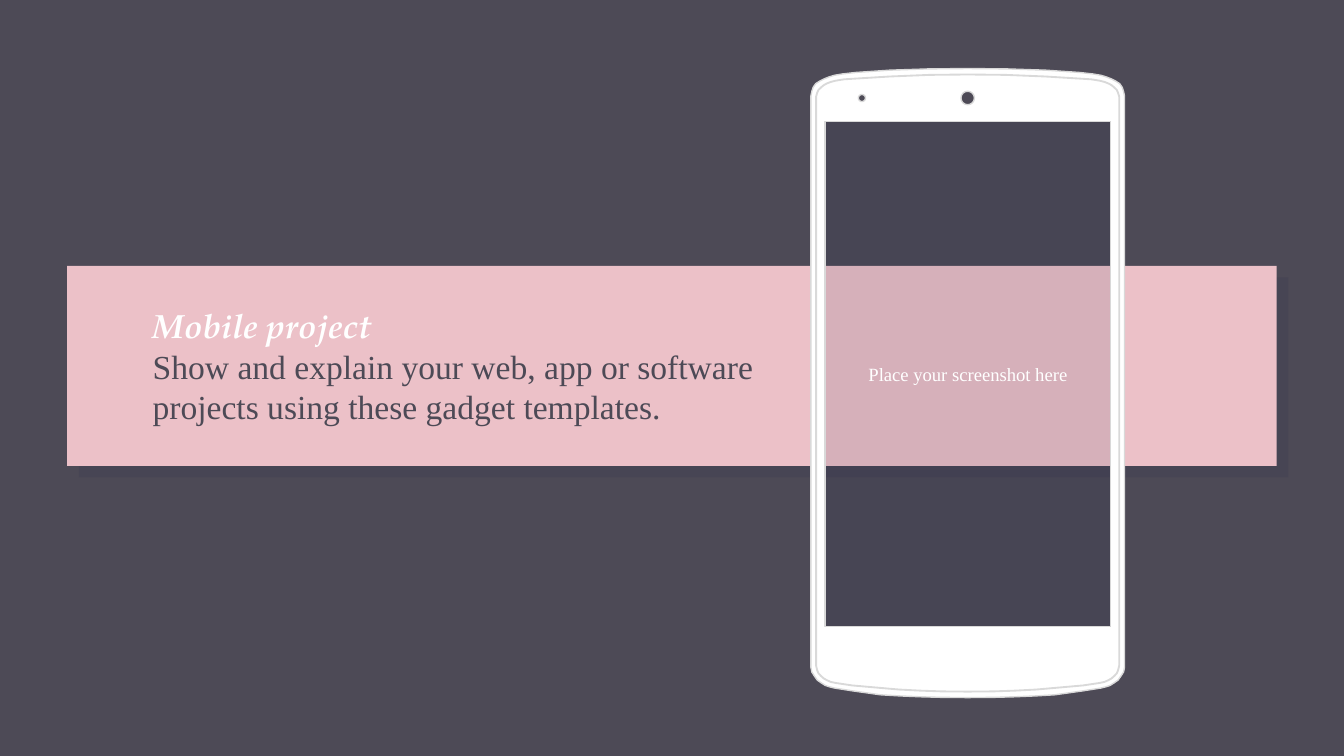
"""Build a slide with a text band and an outlined phone mockup."""
from math import cos, pi, sin
from lxml import etree
from pptx import Presentation
from pptx.dml.color import RGBColor
from pptx.enum.shapes import MSO_SHAPE
from pptx.enum.text import MSO_ANCHOR, PP_ALIGN
from pptx.oxml.ns import qn
from pptx.util import Pt

SLATE = RGBColor(0x4D, 0x4A, 0x56)
PINK = RGBColor(0xEC, 0xC1, 0xC8)
NAVY = RGBColor(0x1B, 0x1B, 0x46)
WHITE = RGBColor(0xFF, 0xFF, 0xFF)
GREY = RGBColor(0xD9, 0xD9, 0xD9)
RECT = MSO_SHAPE.RECTANGLE
MIDDLE = MSO_ANCHOR.MIDDLE
LEFT, CENTER = PP_ALIGN.LEFT, PP_ALIGN.CENTER
SERIF, TITLE = "Times New Roman", "TeX Gyre Pagella"

HEAD = "Mobile project"
BODY = "Show and explain your web, app or software projects using these gadget templates."
HINT = "Place your screenshot here"

BAND = (36, 142.4, 648, 107.2)
SHADE = (42.3, 148.6, 648, 107.2)
COPY = (74.7, 142.4, 357.3, 107.2)
SCREEN = (442, 65, 153, 270.8)
AXIS = 518.4
LENSES = [(461.75, 52.5, 1.9), (AXIS, 52.5, 3.6)]
CASE = [
    (0, 36.7), (20.9, 36.9), (41.8, 37.6), (59.8, 38.8), (67, 39.6), (71.3, 40.3),
    (74.2, 41.2), (77, 42.3), (79.2, 43.4), (81.4, 44.8), (82.8, 46.8), (83.5, 49),
    (84, 51.4), (84, 54.7), (84, 354.2), (84, 357.5), (83.5, 360), (82.1, 362.2),
    (80.6, 364.3), (78.5, 365.8), (76.3, 367.2), (74.2, 367.9), (71.3, 368.6),
    (61.9, 370.1), (46.8, 372.2), (36.7, 372.8), (25.2, 373.3), (13.7, 373.6),
    (0, 373.7)]
BEZEL = [
    (0, 39.9), (20.2, 40.1), (41.8, 41), (59.8, 42.1), (66.2, 42.5), (70.6, 43.2),
    (73.4, 43.9), (75.6, 44.8), (77.2, 45.7), (78.5, 46.8), (79.9, 48.2),
    (80.6, 49.7), (81.2, 51.8), (81.2, 54.7), (81.2, 354.2), (81.2, 356.6),
    (80.6, 359.1), (79.9, 360.7), (78.5, 362.2), (77, 363.5), (75.4, 364.4),
    (73.4, 365.3), (70.6, 365.9), (61.9, 367.2), (46.1, 368.6), (36.7, 369.4),
    (25.2, 370), (13.7, 370.4), (0, 370.5)]


def text(frame, words, font=SERIF, size=18, color=SLATE, bold=False, align=LEFT, first=True):
    frame.word_wrap = True
    frame.vertical_anchor = MIDDLE
    for side in ("left", "right", "top", "bottom"):
        setattr(frame, "margin_" + side, Pt(7.2))
    para = frame.paragraphs[0] if first else frame.add_paragraph()
    para.alignment = align
    run = para.add_run()
    run.text = words
    run.font.name, run.font.size = font, Pt(size)
    run.font.bold = run.font.italic = bold
    run.font.color.rgb = color


def box(place, color, alpha=100):
    shape = shapes.add_shape(RECT, *map(Pt, place))
    shape.shadow.inherit = False
    shape.fill.solid()
    shape.fill.fore_color.rgb = color
    shape.line.fill.background()
    if alpha < 100:
        tone = shape.fill._xPr.find(".//" + qn("a:srgbClr"))
        etree.SubElement(tone, qn("a:alpha"), val=str(alpha * 1000))
    return shape


def mirror(half):
    right = [(AXIS + x, y) for x, y in half]
    left = [(AXIS - x, y) for x, y in half[-2:0:-1]]
    return right + left


def ring(x, y, radius, count=16):
    turns = [2 * pi * i / count for i in range(count)]
    return [(x + radius * cos(t), y + radius * sin(t)) for t in turns]


def outline(loops, width, fill=None):
    grid = [[(round(x * 100), round(y * 100)) for x, y in loop] for loop in loops]
    pen = shapes.build_freeform(*grid[0][0], scale=Pt(1) / 100)
    for i, loop in enumerate(grid):
        if i:
            pen.move_to(*loop[0])
        pen.add_line_segments(loop[1:], close=True)
    shape = pen.convert_to_shape()
    shape.shadow.inherit = False
    if fill is None:
        shape.fill.background()
    else:
        shape.fill.solid()
        shape.fill.fore_color.rgb = fill
    shape.line.color.rgb = GREY
    shape.line.width = Pt(width)


deck = Presentation()
deck.slide_width, deck.slide_height = Pt(720), Pt(405)
slide = deck.slides.add_slide(deck.slide_layouts[6])
slide.background.fill.solid()
slide.background.fill.fore_color.rgb = SLATE
shapes = slide.shapes

box(SHADE, NAVY, alpha=10)
box(BAND, PINK)
copy = shapes.add_textbox(*map(Pt, COPY)).text_frame
text(copy, HEAD, font=TITLE, color=WHITE, bold=True)
text(copy, BODY, first=False)
screen = box(SCREEN, NAVY, alpha=10)
text(screen.text_frame, HINT, size=10, color=WHITE, align=CENTER)

x, y, w, h = SCREEN
window = [(x, y), (x + w, y), (x + w, y + h), (x, y + h)]
outline([mirror(CASE), window] + [ring(*lens) for lens in LENSES], 0.75, fill=WHITE)
outline([mirror(BEZEL)], 1)

deck.save("out.pptx")
